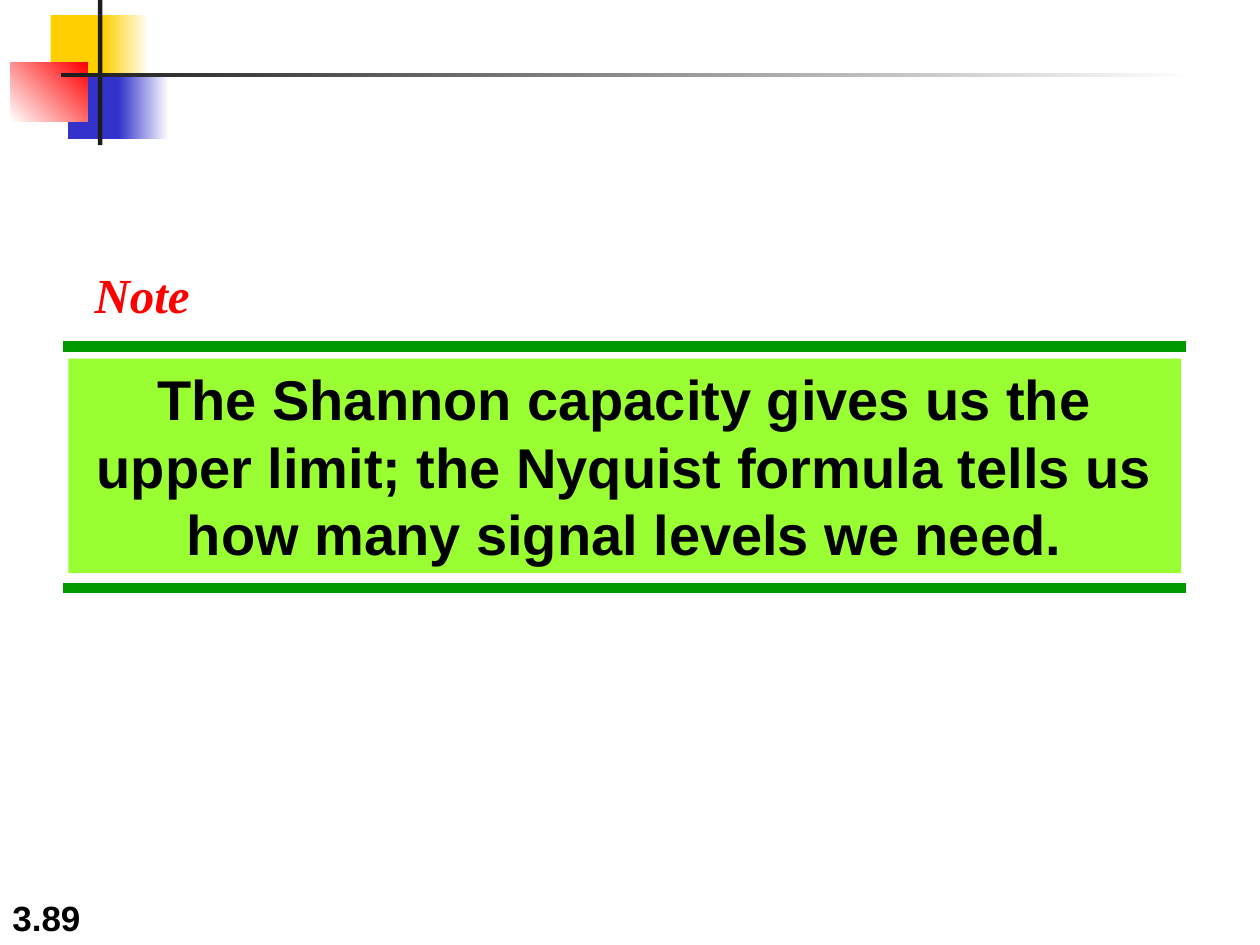
from typing import NamedTuple, Optional

from lxml import etree
from pptx import Presentation
from pptx.dml.color import RGBColor
from pptx.enum import shapes, text
from pptx.oxml.ns import qn
from pptx.util import Pt

WHITE = RGBColor(0xFF, 0xFF, 0xFF)
BLACK = RGBColor(0x00, 0x00, 0x00)
CHARCOAL = RGBColor(0x1C, 0x1C, 0x1C)
YELLOW = RGBColor(0xFF, 0xCF, 0x01)
BLUE = RGBColor(0x33, 0x33, 0xCC)
RED = RGBColor(0xFF, 0x00, 0x00)
GREEN = RGBColor(0x00, 0x99, 0x00)
LIME = RGBColor(0x99, 0xFF, 0x33)


class Block(NamedTuple):
    """A borderless rectangle; with an end colour its fill is a gradient."""
    left: float
    top: float
    width: float
    height: float
    color: RGBColor
    end_color: Optional[RGBColor] = None
    angle: float = 0


class TextStyle(NamedTuple):
    align: text.PP_ALIGN
    anchor: text.MSO_ANCHOR
    font: dict


ORNAMENT = [
    Block(29, 8.6, 34.5, 37.4, YELLOW),
    Block(59, 8.6, 26, 37.4, YELLOW, WHITE),
    Block(39, 42, 33, 37.4, BLUE),
    Block(67.5, 42, 29, 37.4, BLUE, WHITE),
    Block(6, 36, 44, 33.5, WHITE, RED, 45),
    Block(56, 0, 2.5, 83, CHARCOAL),
    Block(34.8, 41.6, 648, 2.5, CHARCOAL, WHITE),
]
MESSAGE_PANEL = Block(39, 205, 636, 122.5, LIME)
RULE_TOPS = (198, 336)
RULE_LEFT, RULE_RIGHT = 36, 678

NOTE_STYLE = TextStyle(
    text.PP_ALIGN.LEFT, text.MSO_ANCHOR.TOP,
    {"name": "Times New Roman", "size": Pt(28), "bold": True, "italic": True})
MESSAGE_STYLE = TextStyle(
    text.PP_ALIGN.CENTER, text.MSO_ANCHOR.TOP,
    {"name": "Arial", "size": Pt(32), "bold": True})
NUMBER_STYLE = TextStyle(
    text.PP_ALIGN.LEFT, text.MSO_ANCHOR.BOTTOM,
    {"name": "Arial", "size": Pt(20), "bold": True})


def add_block(slide, block: Block):
    shape = slide.shapes.add_shape(
        shapes.MSO_SHAPE.RECTANGLE, *(Pt(length) for length in block[:4]))
    shape.shadow.inherit = False
    shape.line.fill.background()
    if block.end_color is None:
        shape.fill.solid()
        shape.fill.fore_color.rgb = block.color
    else:
        shape.fill.gradient()
        shape.fill.gradient_angle = block.angle
        for stop, color in zip(shape.fill.gradient_stops, (block.color, block.end_color)):
            stop.color.rgb = color
    return shape


def add_rule(slide, top: float) -> None:
    rule = slide.shapes.add_connector(
        shapes.MSO_CONNECTOR.STRAIGHT, Pt(RULE_LEFT), Pt(top), Pt(RULE_RIGHT), Pt(top))
    rule.line.color.rgb = GREEN
    rule.line.width = Pt(6)
    etree.SubElement(rule._element.spPr, qn("a:effectLst"))


def write(shape, words: str, style: TextStyle, color: RGBColor) -> None:
    frame = shape.text_frame
    frame.text = words
    frame.word_wrap = True
    frame.auto_size = text.MSO_AUTO_SIZE.NONE
    frame.vertical_anchor = style.anchor
    para = frame.paragraphs[0]
    para.alignment = style.align
    font = para.runs[0].font
    for name, value in style.font.items():
        setattr(font, name, value)
    font.color.rgb = color


def main() -> None:
    deck = Presentation()
    deck.slide_width, deck.slide_height = Pt(720), Pt(540)
    slide = deck.slides.add_slide(deck.slide_layouts.get_by_name("Title Only"))

    number = slide.shapes.add_textbox(Pt(0), Pt(504), Pt(150), Pt(36))
    write(number, "3.89", NUMBER_STYLE, BLACK)

    for block in ORNAMENT:
        add_block(slide, block)
    for top in RULE_TOPS:
        add_rule(slide, top)

    panel = add_block(slide, MESSAGE_PANEL)
    write(panel, "The Shannon capacity gives us the upper limit; the Nyquist formula "
          "tells us how many signal levels we need.", MESSAGE_STYLE, BLACK)

    note = slide.shapes.title
    note.left, note.top, note.width, note.height = Pt(46.8), Pt(147.6), Pt(72), Pt(41)
    write(note, "Note", NOTE_STYLE, RED)

    deck.save("out.pptx")


if __name__ == "__main__":
    main()
